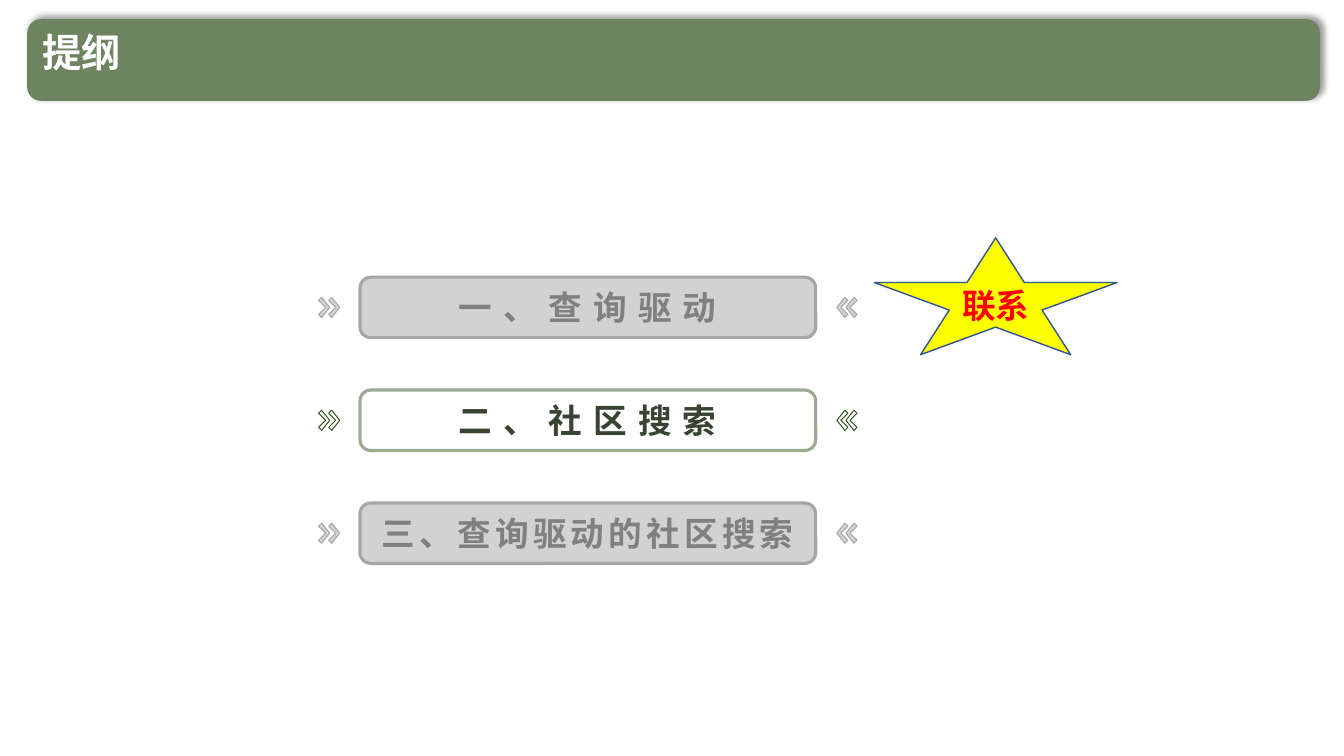
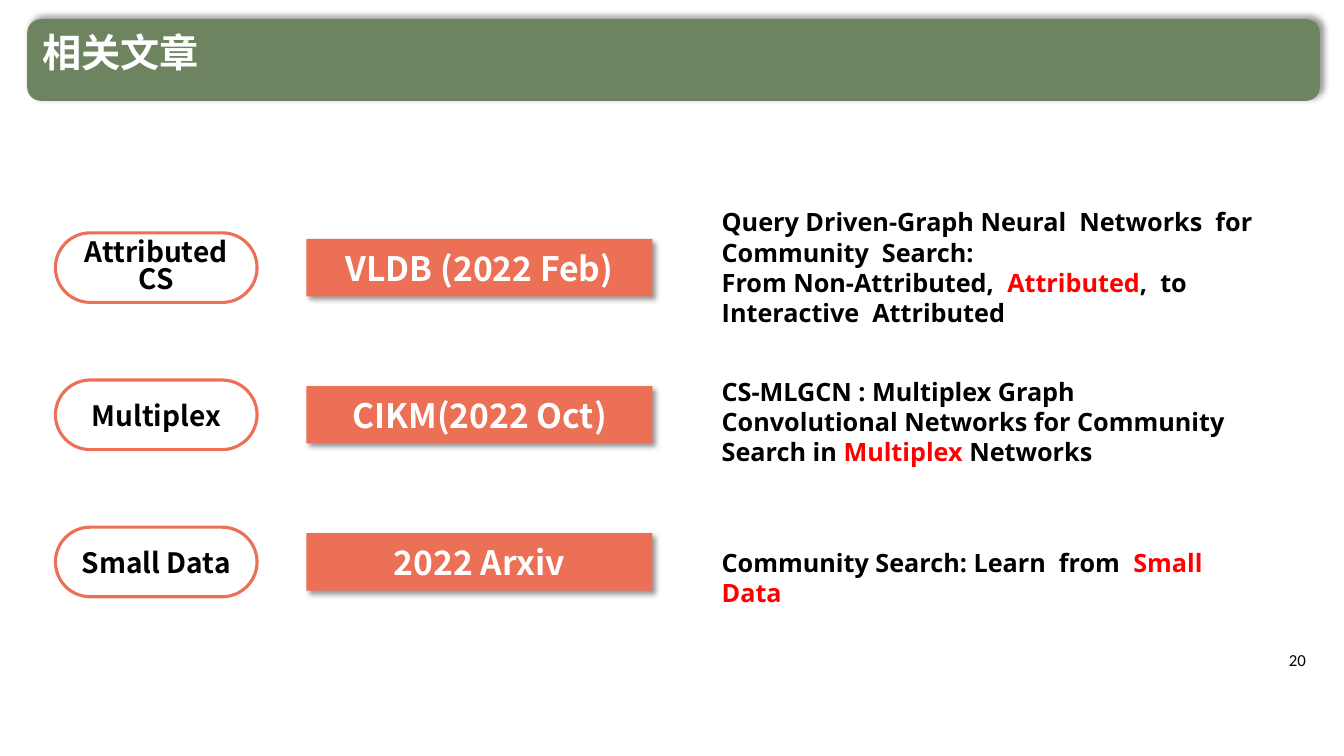
import pptx
import pptx.util
import pptx.dml.color
import pptx.enum.shapes
import pptx.enum.text
import pptx.oxml
import pptx.oxml.ns
from lxml import etree

Inches = pptx.util.Inches
Pt = pptx.util.Pt
RGBColor = pptx.dml.color.RGBColor
Shape = pptx.enum.shapes.MSO_SHAPE
Align = pptx.enum.text.PP_ALIGN
Anchor = pptx.enum.text.MSO_ANCHOR
qn = pptx.oxml.ns.qn

WHITE = RGBColor(0xFF, 0xFF, 0xFF)
BLACK = RGBColor(0x00, 0x00, 0x00)
RED = RGBColor(0xFF, 0x00, 0x00)
YELLOW = RGBColor(0xFF, 0xFF, 0x00)
BLUE = RGBColor(0x32, 0x54, 0x91)
BAND_GREEN = RGBColor(0x6E, 0x83, 0x60)
EDGE_GREEN = RGBColor(0x9B, 0xAA, 0x90)
TEXT_GREEN = RGBColor(0x38, 0x43, 0x31)
ARROW_GREEN = RGBColor(0x38, 0x57, 0x23)
GRAY = RGBColor(0xA6, 0xA6, 0xA6)
DARK_GRAY = RGBColor(0x80, 0x80, 0x80)
CORAL = RGBColor(0xEB, 0x70, 0x55)

CJK = "Noto Sans CJK SC"
LATIN = "Open Sans"
CALIBRI = "Calibri"

# Chevron outline: distance along its direction, distance from its axis
CHEVRON = [(0.03, -0.1), (0, -0.07), (0.07, 0), (0, 0.07), (0.03, 0.1), (0.11, 0)]

TOPICS = [("一、查询驱动", 8, False), ("二、社区搜索", 8, True),
          ("三、查询驱动的社区搜索", 3, False)]
TOPIC_TOP, TOPIC_STEP = 2.75, 1.12

# Label, venue, title with *highlight*, top and height of the title
PAPERS = [
    ("Attributed\nCS", "VLDB (2022 Feb)",
     "Query Driven-Graph Neural  Networks  for Community  Search:\n"
     "From Non-Attributed,  *Attributed*,  to  Interactive  Attributed", 2, 1.31),
    ("Multiplex", "CIKM(2022 Oct)",
     "CS-MLGCN : Multiplex Graph Convolutional Networks for Community "
     "Search in *Multiplex* Networks", 3.68, 1.01),
    ("Small Data", "2022 Arxiv",
     "Community Search: Learn  from  *Small  Data*", 5.38, 0.4),
]
PAPER_TOP, PAPER_STEP = 2.31, 1.46


def write(shape, text, size, color, font=CJK, bold=True, align=Align.CENTER,
          anchor=Anchor.MIDDLE, tracking=0, line_spacing=None):
    """Fill a shape with text; parts between asterisks turn red."""
    frame = shape.text_frame
    frame.word_wrap = True
    frame.auto_size = pptx.enum.text.MSO_AUTO_SIZE.NONE
    frame.vertical_anchor = anchor
    frame.text = text.replace("*", "")
    for para, line in zip(frame.paragraphs, text.split("\n")):
        para.text = ""
        para.alignment = align
        para.line_spacing = line_spacing
        for index, part in enumerate(line.split("*")):
            if not part:
                continue
            span = para.add_run()
            span.text = part
            span.font.size = Pt(size)
            span.font.bold = bold
            span.font.name = font
            span.font.color.rgb = RED if index % 2 else color
            properties = span.font._element
            etree.SubElement(properties, qn("a:ea"), typeface=CJK)
            if tracking:
                properties.set("spc", str(tracking * 100))


def paint(shape, fill=None, line=None, weight=1, opacity=100):
    shape.shadow.inherit = False
    if fill is None:
        shape.fill.background()
    else:
        shape.fill.solid()
        shape.fill.fore_color.rgb = fill
        if opacity < 100:
            color = shape.element.spPr.find(qn("a:solidFill")).find(qn("a:srgbClr"))
            etree.SubElement(color, qn("a:alpha"), val=str(opacity * 1000))
    if line is None:
        shape.line.fill.background()
    else:
        shape.line.color.rgb = line
        shape.line.width = Pt(weight)


def cast_shadow(shape, angle):
    effects = shape.element.spPr.find(qn("a:effectLst"))
    shadow = etree.SubElement(effects, qn("a:outerShdw"), blurRad=str(Pt(4)),
                              dist=str(Pt(3)), dir=str(angle * 60000),
                              rotWithShape="0")
    color = etree.SubElement(shadow, qn("a:srgbClr"), val=str(BLACK))
    etree.SubElement(color, qn("a:alpha"), val="40000")


def add_box(shapes, kind, left, top, width, height, corner=None, **look):
    box = shapes.add_shape(kind, Inches(left), Inches(top), Inches(width), Inches(height))
    if corner is not None:
        box.adjustments[0] = corner
    paint(box, **look)
    return box


def add_text(page, left, top, width, height, text, size, **style):
    box = page.shapes.add_textbox(Inches(left), Inches(top), Inches(width), Inches(height))
    write(box, text, size, BLACK, **style)


def add_chevron(shapes, start, middle, direction, **look):
    """Draw a chevron pointing right (direction 1) or left (-1)."""
    points = [(Inches(start + direction * along), Inches(middle + across))
              for along, across in CHEVRON]
    builder = shapes.build_freeform(*points[0])
    builder.add_line_segments(points[1:], close=True)
    paint(builder.convert_to_shape(), weight=0.75, **look)


def prepare_layout(layout, page):
    """Put the band and the place of the title on the shared layout."""
    band = add_box(page.shapes, Shape.ROUNDED_RECTANGLE, 0.27, 0.19, 12.82, 0.81,
                   fill=BAND_GREEN)
    cast_shadow(band, 315)
    band.element.nvSpPr.cNvPr.set("id", "100")
    layout.shapes.element.insert(2, band.element)
    title = layout.placeholders[0]
    title.left, title.top = Inches(0.32), Inches(0.28)
    title.width, title.height = Inches(11.07), Inches(0.62)


def set_title(page, text):
    write(page.shapes.title, text, 28, WHITE, align=Align.LEFT, anchor=Anchor.TOP,
          line_spacing=0.9)


def add_topic(page, top, text, tracking, active):
    group = page.shapes.add_group_shape()
    fill = {} if active else {"fill": GRAY, "opacity": 50}
    for start, direction in ((3.16, 1), (3.26, 1), (8.5, -1), (8.41, -1)):
        add_chevron(group.shapes, start, top + 0.3, direction,
                    line=ARROW_GREEN if active else GRAY, **fill)
    box = add_box(group.shapes, Shape.ROUNDED_RECTANGLE, 3.57, top, 4.52, 0.6,
                  corner=0.18, line=EDGE_GREEN if active else GRAY, weight=2.25, **fill)
    write(box, text, 24, TEXT_GREEN if active else DARK_GRAY, tracking=tracking)


def add_paper(page, top, label, venue, title, title_top, title_height):
    pill = add_box(page.shapes, Shape.ROUNDED_RECTANGLE, 0.55, top, 2, 0.69,
                   corner=0.5, line=CORAL, weight=2.25)
    write(pill, label, 20, BLACK, line_spacing=0.8 if "\n" in label else None)
    bar = add_box(page.shapes, Shape.RECTANGLE, 3.04, top + 0.06, 3.43, 0.57, fill=CORAL)
    cast_shadow(bar, 45)
    write(bar, venue, 24, WHITE)
    add_text(page, 7.06, title_top, 5.47, title_height, title, 18, font=LATIN,
             align=Align.LEFT, anchor=Anchor.TOP)


def build_outline(page):
    set_title(page, "提纲")
    for index, topic in enumerate(TOPICS):
        add_topic(page, TOPIC_TOP + index * TOPIC_STEP, *topic)
    star = add_box(page.shapes, Shape.STAR_5_POINT, 8.67, 2.36, 2.41, 1.16,
                   fill=YELLOW, line=BLUE)
    write(star, "联系", 24, RED, font=CALIBRI)


def build_papers(page):
    set_title(page, "相关文章")
    for index, paper in enumerate(PAPERS):
        add_paper(page, PAPER_TOP + index * PAPER_STEP, *paper)
    add_text(page, 12.26, 6.35, 0.79, 0.4, "20", 12, font=CALIBRI, bold=False,
             align=Align.RIGHT)


def main():
    deck = pptx.Presentation()
    deck.slide_width, deck.slide_height = Inches(13.33), Inches(7.5)
    layout = deck.slide_layouts.get_by_name("Title Only")
    outline, papers = [deck.slides.add_slide(layout) for _ in range(2)]
    prepare_layout(layout, outline)
    build_outline(outline)
    build_papers(papers)
    deck.save("out.pptx")


if __name__ == "__main__":
    main()
